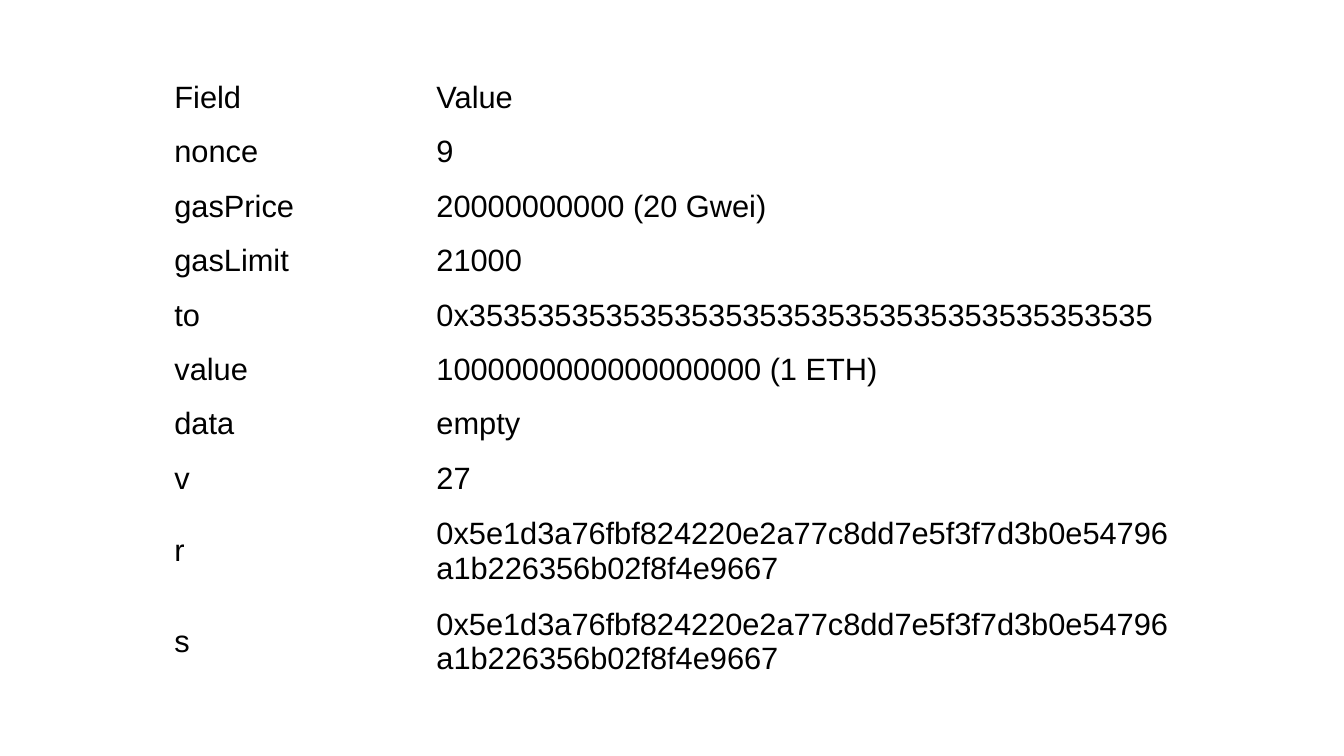
from pptx import Presentation
from pptx.dml.color import RGBColor
from pptx.enum.text import MSO_ANCHOR, PP_ALIGN
from pptx.util import Inches, Pt

SIGNATURE = "0x5e1d3a76fbf824220e2a77c8dd7e5f3f7d3b0e54796a1b226356b02f8f4e9667"
TRANSACTION = [
    ("Field", "Value"),
    ("nonce", "9"),
    ("gasPrice", "20000000000 (20 Gwei)"),
    ("gasLimit", "21000"),
    ("to", "0x3535353535353535353535353535353535353535"),
    ("value", "1000000000000000000 (1 ETH)"),
    ("data", "empty"),
    ("v", "27"),
    ("r", SIGNATURE),
    ("s", SIGNATURE),
]


def color(hex_string):
    return RGBColor.from_string(hex_string)


class Deck:
    """Holds the style and the current slide; lengths are percent of the slide."""
    FONT = "Arial"
    SIZE = Pt(22)
    INK = "000000"
    PAPER = "FFFFFF"
    PAD_X, PAD_Y = Inches(0.12), Inches(0.06)

    def __init__(self):
        self.prs = Presentation()
        self.prs.slide_width = Inches(13.33)
        self.prs.slide_height = Inches(7.5)

    def x(self, percent):
        return round(self.prs.slide_width * percent / 100)

    def y(self, percent):
        return round(self.prs.slide_height * percent / 100)

    def add_slide(self):
        blank = self.prs.slide_layouts[6]
        self.slide = self.prs.slides.add_slide(blank)
        fill = self.slide.background.fill
        fill.solid()
        fill.fore_color.rgb = color(self.PAPER)

    def add_table(self, rows, left, top, widths, heights):
        frame = self.slide.shapes.add_table(
            len(rows), len(widths), self.x(left), self.y(top),
            self.x(sum(widths)), self.y(sum(heights)))
        table = frame.table
        table.horz_banding = False
        for column, width in zip(table.columns, widths):
            column.width = self.x(width)
        for row, height, texts in zip(table.rows, heights, rows):
            row.height = self.y(height)
            for cell, text in zip(row.cells, texts):
                self.fill_cell(cell, text)

    def fill_cell(self, cell, text):
        cell.fill.background()
        cell.vertical_anchor = MSO_ANCHOR.MIDDLE
        cell.margin_left = cell.margin_right = self.PAD_X
        cell.margin_top = cell.margin_bottom = self.PAD_Y
        p = cell.text_frame.paragraphs[0]
        p.alignment = PP_ALIGN.LEFT
        r = p.add_run()
        r.text = text
        r.font.name = self.FONT
        r.font.size = self.SIZE
        r.font.bold = False
        r.font.color.rgb = color(self.INK)


def main():
    deck = Deck()
    deck.add_slide()
    heights = [12 if value == SIGNATURE else 7.2 for _, value in TRANSACTION]
    deck.add_table(TRANSACTION, left=12.08, top=9.33,
                   widths=[19.5, 56.36], heights=heights)
    deck.prs.save("out.pptx")


if __name__ == "__main__":
    main()
